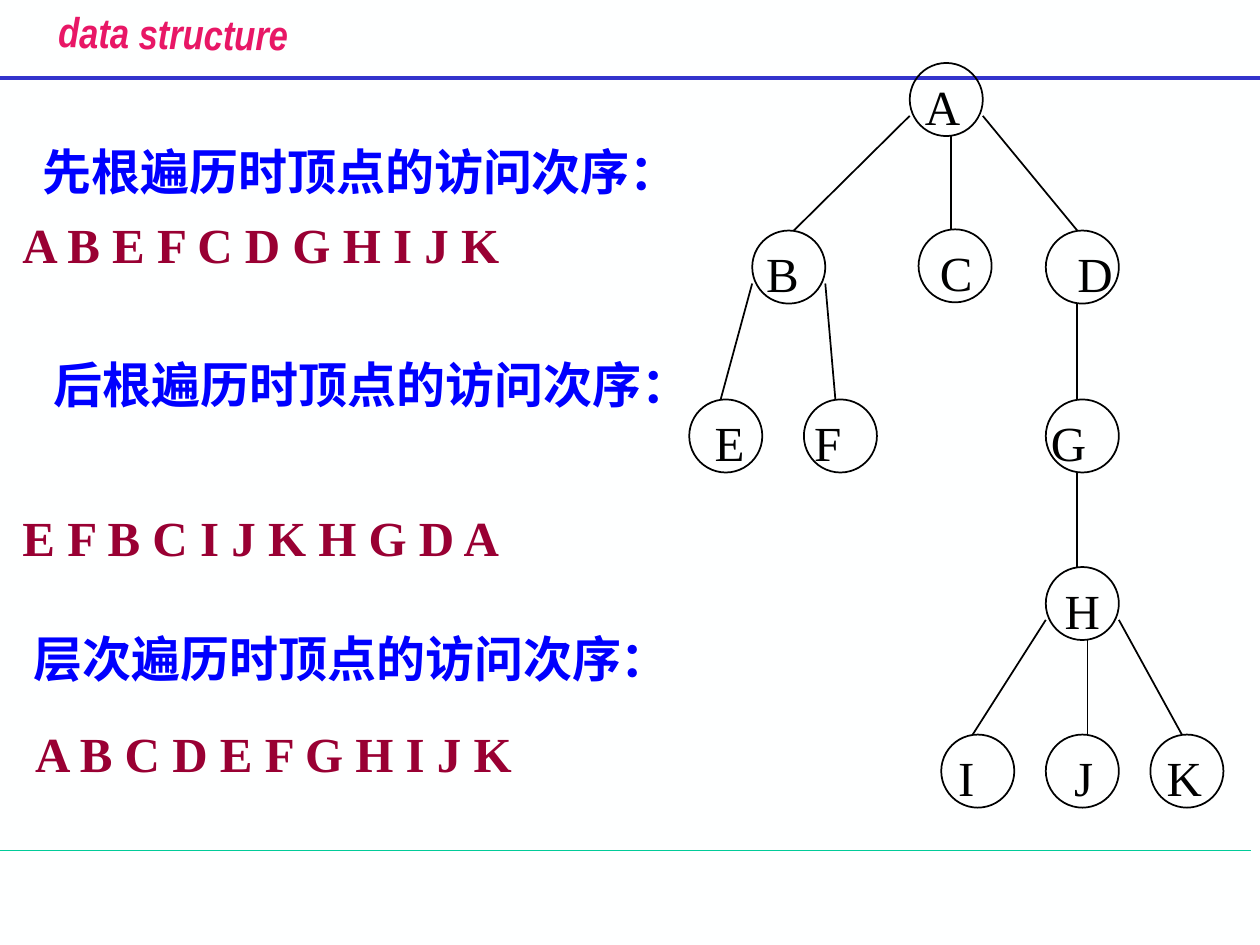
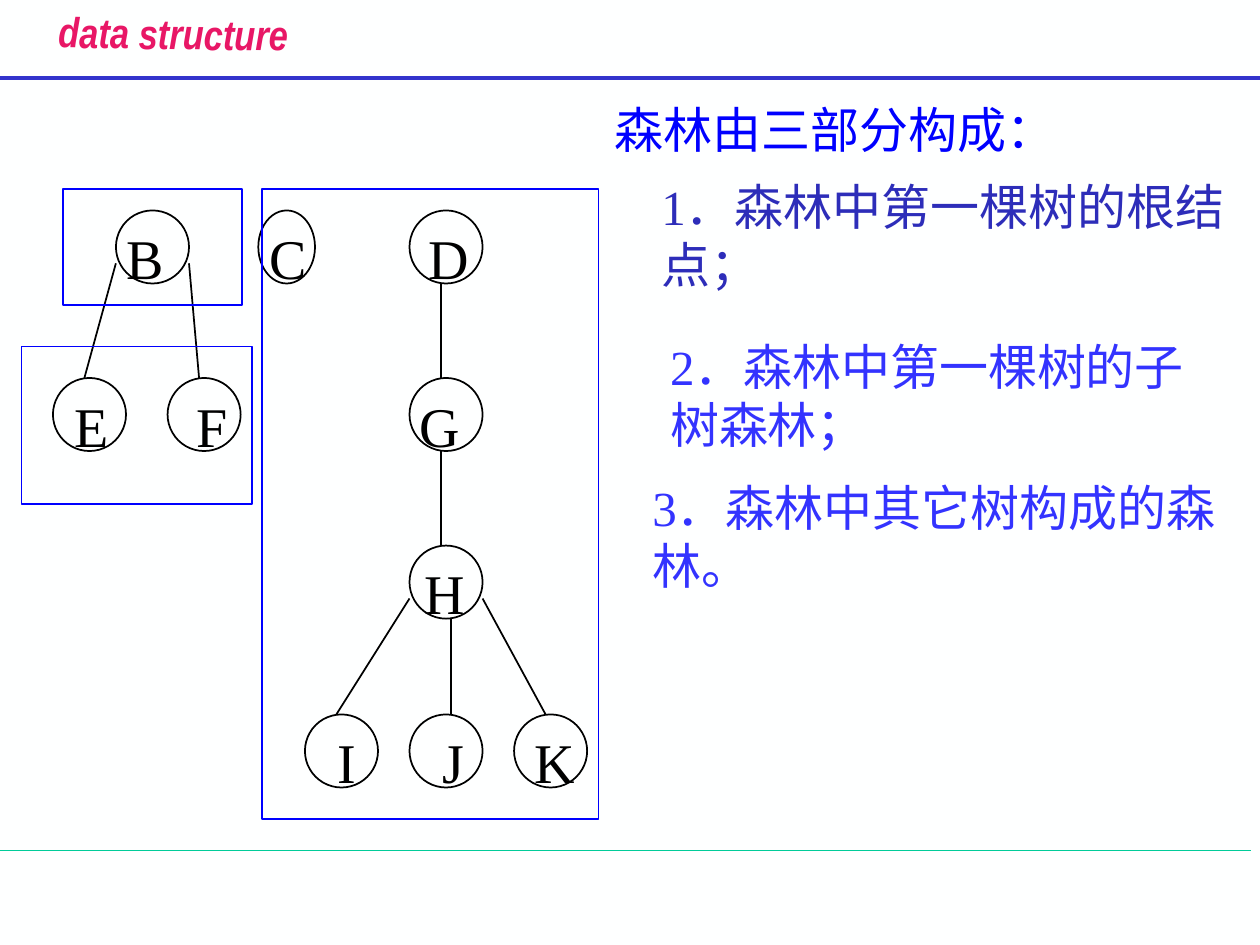
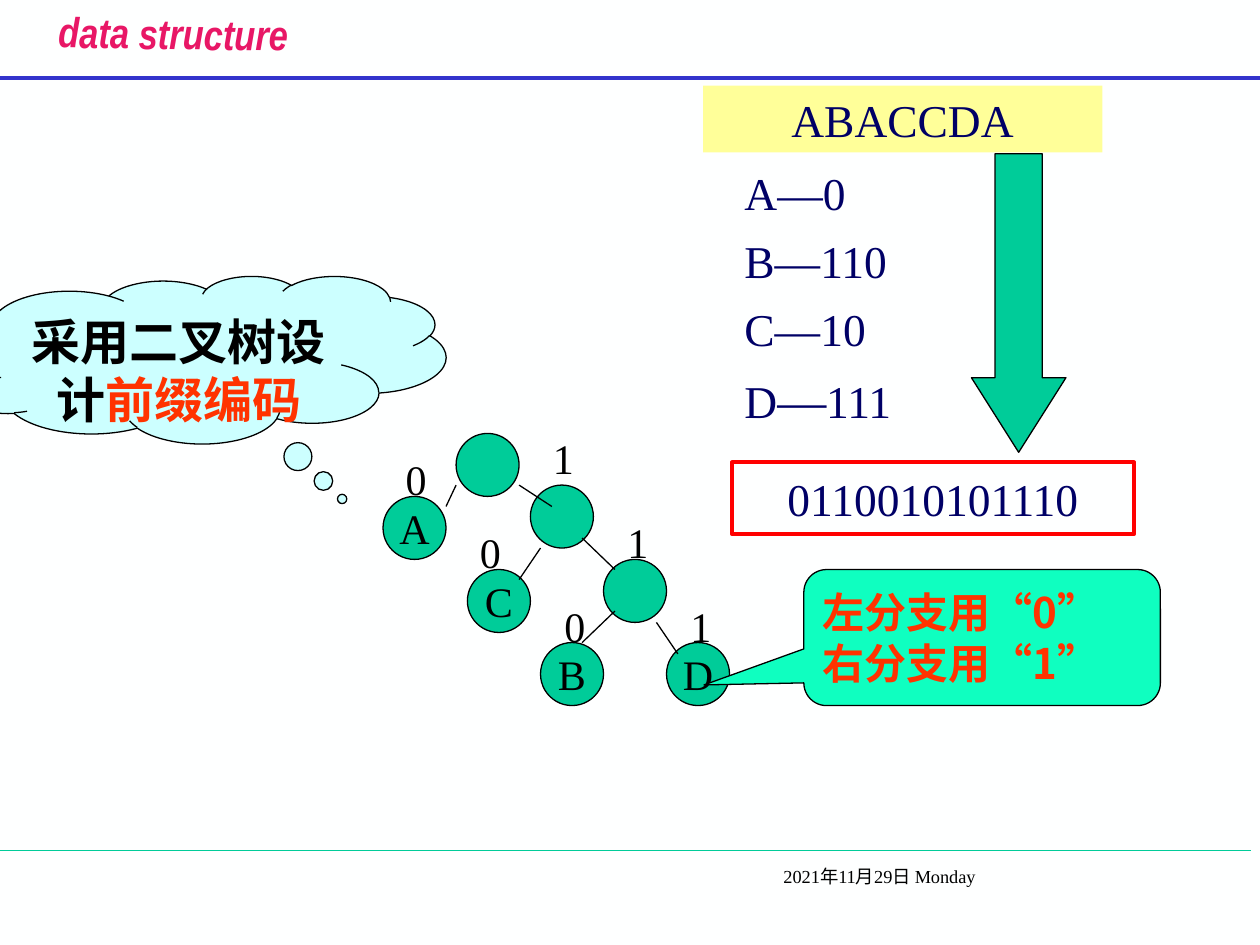
from pptx import Presentation
from pptx.dml.color import RGBColor
from pptx.enum.shapes import MSO_CONNECTOR, MSO_SHAPE
from pptx.enum.text import MSO_ANCHOR, PP_ALIGN
from pptx.oxml.ns import qn
from pptx.util import Inches, Pt
from lxml.etree import SubElement

# Colours and fonts
BLACK = RGBColor(0x00, 0x00, 0x00)
PAPER = RGBColor(0xFE, 0xFF, 0xFF)
PINK = RGBColor(0xE8, 0x17, 0x66)
INDIGO = RGBColor(0x33, 0x33, 0xCC)
GREEN = RGBColor(0x00, 0xCC, 0x99)
BLUE = RGBColor(0x00, 0x00, 0xFF)
WINE = RGBColor(0x99, 0x00, 0x33)
DUSK = RGBColor(0x2D, 0x2D, 0xB9)
VIOLET = RGBColor(0x33, 0x33, 0xFF)
NAVY = RGBColor(0x00, 0x00, 0x66)
SKY = RGBColor(0xCC, 0xFF, 0xFF)
MINT = RGBColor(0x0F, 0xFF, 0xC0)
ORANGE = RGBColor(0xFF, 0x33, 0x00)
RED = RGBColor(0xFF, 0x00, 0x00)
YELLOW = RGBColor(0xFF, 0xFF, 0x99)
SERIF, HAN, NARROW = "Times New Roman", "Noto Sans CJK SC", "Arial Narrow"
NODE = 0.58

# Slide 1: node -> left, top, letter centre
TREE = {
    "A": (7.22, 0.5, 7.48), "B": (5.97, 1.83, 6.21), "C": (7.29, 1.82, 7.59),
    "D": (8.3, 1.83, 8.69), "E": (5.47, 3.17, 5.79), "F": (6.38, 3.17, 6.57),
    "G": (8.3, 3.17, 8.48), "H": (8.3, 4.5, 8.59), "I": (7.47, 5.83, 7.67),
    "J": (8.3, 5.83, 8.6), "K": (9.13, 5.83, 9.4),
}
# Parent and child -> where the edge meets the child, from its left
LIMBS = {"AB": 0.33, "AC": 0.26, "AD": 0.25}
TWIGS = {"BE": 0.25, "BF": 0.25, "DG": 0.25, "GH": 0.25,
         "HI": 0.25, "HJ": 0.33, "HK": 0.25}
HEADS = [(0.24, 1.08, "先根遍历时顶点的访问次序："),
         (0.33, 2.77, "后根遍历时顶点的访问次序："),
         (0.17, 4.95, "层次遍历时顶点的访问次序：")]
ORDERS = [(0.08, 1.65, "A B E F C D G H I J K"),
          (0.08, 3.98, "E F B C I J K H G D A"),
          (0.18, 5.69, "A B C D E F G H I J K")]

# Slide 2
FOREST = {
    "B": (0.92, 1.67, 1.15), "C": (2.05, 1.67, 2.29), "D": (3.25, 1.67, 3.56),
    "E": (0.42, 3, 0.73), "F": (1.33, 3, 1.68), "G": (3.25, 3, 3.49),
    "H": (3.25, 4.33, 3.53), "I": (2.42, 5.67, 2.75), "J": (3.25, 5.67, 3.6),
    "K": (4.08, 5.67, 4.4),
}
FRAMES = [(0.5, 1.5, 1.42, 0.92), (0.17, 2.75, 1.83, 1.25), (2.08, 1.5, 2.67, 5)]
PARTS = [((5.15, 1.36, 4.68, 1.04), DUSK, "1．森林中第一棵树的根结点；"),
         ((5.22, 2.63, 4.58, 1.04), VIOLET, "2．森林中第一棵树的子树森林；"),
         ((5.08, 3.75, 4.73, 1.04), VIOLET, "3．森林中其它树构成的森林。")]

# Slide 3
CODES = [(3.62, 3.44, ""), (4.21, 3.85, ""), (4.79, 4.44, ""), (3.04, 3.94, "A"),
         (3.71, 4.52, "C"), (4.29, 5.1, "B"), (5.29, 5.1, "D")]
LINKS = [(3.62, 3.85, 3.54, 4.02), (4.12, 3.85, 4.38, 4.02),
         (4.29, 4.35, 4.12, 4.6), (4.88, 4.85, 4.62, 5.1),
         (5.21, 4.94, 5.38, 5.19), (4.62, 4.27, 4.88, 4.52)]
BITS = [(3.12, 3.55, "0"), (3.71, 4.13, "0"), (4.38, 4.72, "0"),
        (4.29, 3.38, "1"), (4.88, 4.05, "1"), (5.38, 4.72, "1")]
TABLE = ["A—0", "B—110", "C—10", [("D", {}), ("—", {"size": 28}), ("111", {})]]
CLOUD = [[("采用二叉树设计", {}), ("前缀编码", {"color": ORANGE})]]
RULES = ["左分支用“0”", "右分支用“1”"]


def write(shape, text, size=28, color=BLACK, font=SERIF, bold=False, italic=False,
          align=PP_ALIGN.LEFT, anchor=MSO_ANCHOR.TOP, wrap=True, pitch=None,
          gap=None, inset=(0.1, 0.05)):
    """Fill a shape; a paragraph is a string or a list of (words, changes)."""
    frame = shape.text_frame
    frame.word_wrap = wrap
    frame.vertical_anchor = anchor
    frame.margin_left = frame.margin_right = Inches(inset[0])
    frame.margin_top = frame.margin_bottom = Inches(inset[1])
    lines = [text] if isinstance(text, str) else text
    for i, line in enumerate(lines):
        para = frame.paragraphs[0] if i == 0 else frame.add_paragraph()
        para.alignment = align
        if pitch:
            para.line_spacing = Pt(pitch)
        if gap and i:
            para.space_before = Pt(gap)
        for words, diff in [(line, {})] if isinstance(line, str) else line:
            run = para.add_run()
            run.text = words
            face = run.font
            face.name = font
            face.size = Pt(diff.get("size", size))
            face.bold, face.italic = bold, italic
            face.color.rgb = diff.get("color", color)
            props = run._r.get_or_add_rPr()
            props.set("lang", "zh-CN")
            SubElement(props, qn("a:ea")).set("typeface", HAN)
    return shape


def label(slide, box, text, **style):
    return write(slide.shapes.add_textbox(*map(Inches, box)), text, **style)


def draw(slide, kind, box, fill=None, line=BLACK, width=0.75, adjust=()):
    shape = slide.shapes.add_shape(kind, *map(Inches, box))
    shape.shadow.inherit = False
    if fill is None:
        shape.fill.background()
    else:
        shape.fill.solid()
        shape.fill.fore_color.rgb = fill
    if line is None:
        shape.line.fill.background()
    else:
        shape.line.color.rgb = line
        shape.line.width = Pt(width)
    for i, value in enumerate(adjust):
        shape.adjustments[i] = value
    return shape


def join(slide, ends, color=BLACK, width=1):
    line = slide.shapes.add_connector(MSO_CONNECTOR.STRAIGHT, *map(Inches, ends))
    line.line.color.rgb = color
    line.line.width = Pt(width)
    SubElement(line._element.spPr, qn("a:effectLst"))


def start(deck):
    """Add a slide with the shared background, lines and title."""
    slide = deck.slides.add_slide(deck.slide_layouts[6])
    slide.background.fill.solid()
    slide.background.fill.fore_color.rgb = PAPER
    join(slide, (-0.07, 6.75, 9.93, 6.75), GREEN, 0.75)
    join(slide, (0, 0.62, 10, 0.62), INDIGO, 2.25)
    title = label(slide, (0.23, -0.01, 2.29, 0.54), "data structure", size=24,
                  color=PINK, font=NARROW, bold=True, italic=True, wrap=False,
                  align=PP_ALIGN.CENTER, anchor=MSO_ANCHOR.MIDDLE)
    title.rotation = 0.8
    return slide


def plant(slide, nodes, edges, size, drop, widths):
    """Draw circles, their letters and the edges between them."""
    for name, (left, top, mid) in nodes.items():
        draw(slide, MSO_SHAPE.OVAL, (left, top, widths.get(name, NODE), NODE), width=1)
        label(slide, (mid - 0.3, top + drop - 0.3, 0.6, 0.6), name, size=size,
              align=PP_ALIGN.CENTER, anchor=MSO_ANCHOR.MIDDLE, inset=(0, 0))
    for (up, down), shift in edges.items():
        left, top, _ = nodes[up]
        child, foot, _ = nodes[down]
        end = child + shift
        if abs(child - left) < 0.2:
            origin = (end, top + NODE)
        else:
            origin = (left if child < left else left + NODE, top + 0.42)
        join(slide, (*origin, end, foot))


def orders(deck):
    slide = start(deck)
    plant(slide, TREE, {**LIMBS, **TWIGS}, 28, 0.34, {})
    for left, top, text in HEADS:
        label(slide, (left, top, 5.35, 0.57), text, color=BLUE, bold=True, pitch=33)
    for left, top, text in ORDERS:
        label(slide, (left, top, 4.03, 0.57), text, color=WINE, bold=True, wrap=False)


def forest(deck):
    slide = start(deck)
    plant(slide, FOREST, TWIGS, 32, 0.37, {"C": 0.45})
    for box in FRAMES:
        draw(slide, MSO_SHAPE.RECTANGLE, box, line=BLUE, width=1)
    for box, color, text in PARTS:
        label(slide, box, text, color=color, pitch=33)
    label(slide, (4.78, 0.75, 3.74, 0.57), "森林由三部分构成：", color=BLUE,
          wrap=False, pitch=33)


def prefix(deck):
    slide = start(deck)
    mid = {"align": PP_ALIGN.CENTER, "anchor": MSO_ANCHOR.MIDDLE}
    label(slide, (6.12, 6.82, 3.5, 0.5), "2021年11月29日 Monday", size=10.5)
    # Code tree
    for left, top, name in CODES:
        dot = draw(slide, MSO_SHAPE.OVAL, (left, top, 0.5, 0.5), GREEN)
        if name:
            write(dot, name, size=24, wrap=False, **mid)
    for ends in LINKS:
        join(slide, ends, width=0.75)
    for left, top, bit in BITS:
        label(slide, (left, top, 0.58, 0.5), bit, size=24)
    # Callouts
    cloud = draw(slide, MSO_SHAPE.CLOUD_CALLOUT, (-0.42, 2.19, 3.96, 1.33), SKY,
                 adjust=(0.292, 0.831))
    write(cloud, CLOUD, bold=True, align=PP_ALIGN.CENTER, pitch=33, inset=(0.1, 0.09))
    note = draw(slide, MSO_SHAPE.ROUNDED_RECTANGULAR_CALLOUT, (6.38, 4.52, 2.83, 1.08),
                MINT, adjust=(-0.78, 0.348, 0.167))
    write(note, RULES, size=24, color=ORANGE, font=HAN, bold=True, pitch=29,
          inset=(0.1, 0.08))
    # Message, code table and result
    label(slide, (5.81, 1.26, 1.52, 2.14), TABLE, size=26, color=NAVY, gap=7.8)
    draw(slide, MSO_SHAPE.DOWN_ARROW, (7.71, 1.22, 0.75, 2.37), GREEN,
         adjust=(0.5, 0.789))
    result = draw(slide, MSO_SHAPE.RECTANGLE, (5.81, 3.67, 3.19, 0.57), line=RED,
                  width=2.25)
    write(result, "0110010101110", size=26, color=NAVY, **mid)
    band = draw(slide, MSO_SHAPE.RECTANGLE, (5.58, 0.68, 3.17, 0.53), YELLOW, line=None)
    write(band, "ABACCDA", size=26, color=NAVY, **mid)


def main():
    deck = Presentation()
    deck.slide_width, deck.slide_height = Inches(10), Inches(7.5)
    for build in (orders, forest, prefix):
        build(deck)
    deck.save("out.pptx")


if __name__ == "__main__":
    main()
